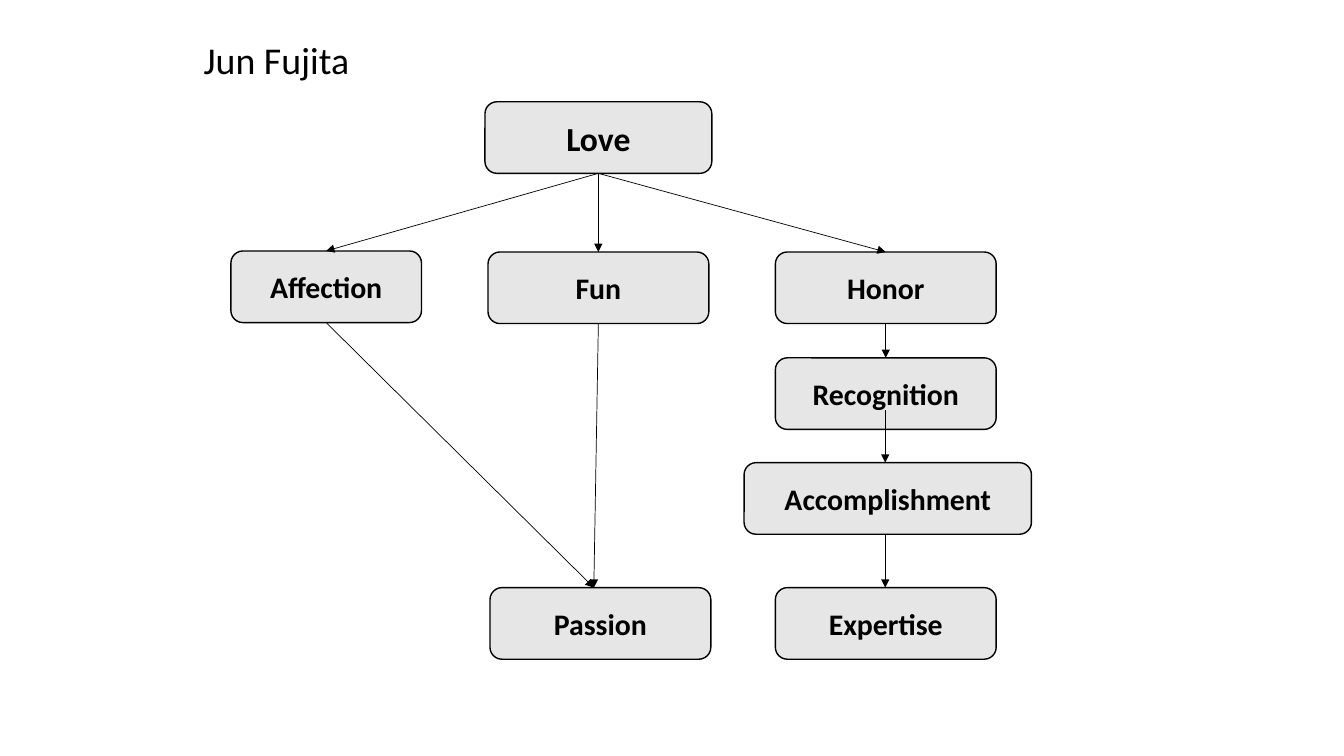
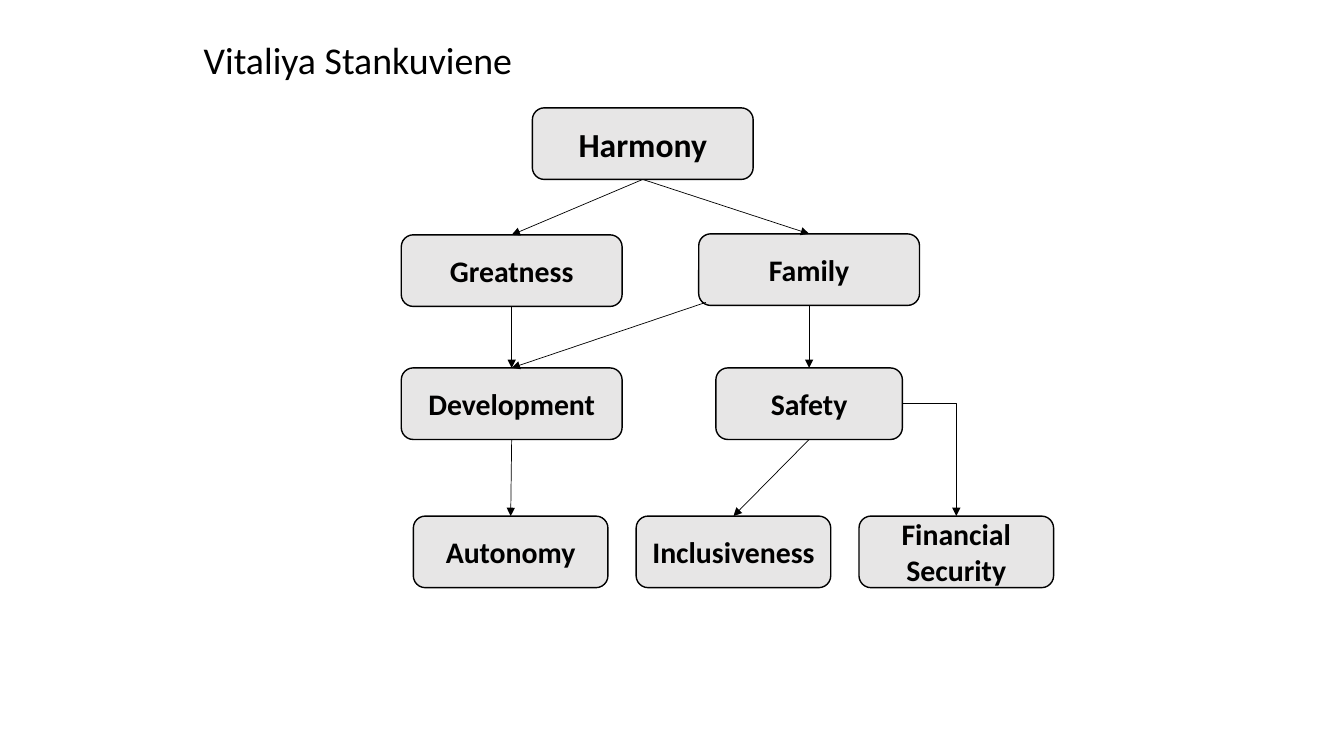
import lxml.etree
import pptx
import pptx.dml.color
import pptx.enum.shapes
import pptx.enum.text
import pptx.oxml.ns
import pptx.util

Inches, Pt = pptx.util.Inches, pptx.util.Pt
qn = pptx.oxml.ns.qn

FONT = "Calibri"
INK = "000000"
BOX_FILL = "E7E6E6"
BOX_HEIGHT = 0.71
WIDE = 2.19
NARROW = 1.93
ROOT_SIZE, VALUE_SIZE, TITLE_SIZE = 24, 21.3, 27
TOP, BOTTOM, RIGHT = 0, 2, 3  # connection sites of a rounded rectangle

# Each value is (label, left, top, width); the first one is the root.
# An arrow end is a label, or a point where the arrow misses the box's centre.
PASSION_ENTRY = (5.89, 5.83)
HONOR_AXIS = 8.78
JUN_VALUES = [
    ("Love", 4.81, 1.01, 2.25),
    ("Affection", 2.29, 2.49, 1.89),
    ("Fun", 4.84, 2.5, WIDE),
    ("Honor", 7.69, 2.5, WIDE),
    ("Recognition", 7.69, 3.55, WIDE),
    ("Accomplishment", 7.38, 4.59, 2.85),
    ("Passion", 4.86, 5.83, WIDE),
    ("Expertise", 7.69, 5.83, WIDE),
]
JUN_ARROWS = [
    ("Love", "Affection"),
    ("Love", "Fun"),
    ("Love", "Honor"),
    ("Fun", PASSION_ENTRY),
    ("Affection", PASSION_ENTRY),
    ("Honor", "Recognition"),
    ((HONOR_AXIS, 4.07), (HONOR_AXIS, 4.59)),
    ((HONOR_AXIS, 5.3), (HONOR_AXIS, 5.83)),
]

VITALIYA_VALUES = [
    ("Harmony", 5.28, 1.07, WIDE),
    ("Greatness", 3.98, 2.33, WIDE),
    ("Family", 6.93, 2.32, WIDE),
    ("Development", 3.98, 3.65, WIDE),
    ("Safety", 7.1, 3.65, 1.85),
] + [
    (label, 4.1 + 2.21 * column, 5.12, NARROW)
    for column, label in enumerate(["Autonomy", "Inclusiveness", "Financial Security"])
]
VITALIYA_ARROWS = [
    ("Harmony", "Greatness"),
    ("Harmony", "Family"),
    ("Greatness", "Development"),
    ((7, 3), "Development"),
    ("Family", "Safety"),
    ("Development", "Autonomy"),
    ("Safety", "Inclusiveness"),
]
VITALIYA_ELBOWS = [("Safety", "Financial Security")]


def rgb(value):
    return pptx.dml.color.RGBColor.from_string(value)


def format_text(paragraph, size, bold, alignment):
    paragraph.alignment = alignment
    for run in paragraph.runs:
        run.font.name = FONT
        run.font.size = Pt(size)
        run.font.bold = bold
        run.font.color.rgb = rgb(INK)


def add_title(slide, person):
    title = slide.shapes.title
    title.left, title.top = Inches(1.92), Inches(0.32)
    title.width, title.height = Inches(7.86), Inches(0.53)
    frame = title.text_frame
    frame.text = person
    frame.auto_size = pptx.enum.text.MSO_AUTO_SIZE.NONE
    frame.vertical_anchor = pptx.enum.text.MSO_ANCHOR.MIDDLE
    format_text(frame.paragraphs[0], TITLE_SIZE, False, pptx.enum.text.PP_ALIGN.LEFT)


def add_value_box(slide, label, left, top, width, size):
    box = slide.shapes.add_shape(
        pptx.enum.shapes.MSO_SHAPE.ROUNDED_RECTANGLE,
        Inches(left), Inches(top), Inches(width), Inches(BOX_HEIGHT),
    )
    box.shadow.inherit = False
    box.fill.solid()
    box.fill.fore_color.rgb = rgb(BOX_FILL)
    box.line.color.rgb = rgb(INK)
    box.line.width = Pt(1)
    box.text_frame.text = label
    format_text(box.text_frame.paragraphs[0], size, True, pptx.enum.text.PP_ALIGN.CENTER)
    return box


def add_arrow(slide, boxes, start, end, elbow=False):
    """Link two ends; a label is glued to its box, a point stays free."""
    kinds = pptx.enum.shapes.MSO_CONNECTOR
    points = [(0, 0) if isinstance(spot, str) else spot for spot in (start, end)]
    arrow = slide.shapes.add_connector(
        kinds.ELBOW if elbow else kinds.STRAIGHT,
        *[Inches(length) for point in points for length in point],
    )
    if isinstance(start, str):
        arrow.begin_connect(boxes[start], RIGHT if elbow else BOTTOM)
    if isinstance(end, str):
        arrow.end_connect(boxes[end], TOP)
    arrow.line.color.rgb = rgb(INK)
    arrow.line.width = Pt(0.5)
    properties = arrow.element.spPr
    if elbow:
        properties.find(qn("a:prstGeom")).set("prst", "bentConnector2")
    lxml.etree.SubElement(properties.find(qn("a:ln")), qn("a:tailEnd"), type="triangle")
    lxml.etree.SubElement(properties, qn("a:effectLst"))


def add_value_tree(deck, person, values, arrows, elbows=()):
    slide = deck.slides.add_slide(deck.slide_layouts.get_by_name("Title Only"))
    add_title(slide, person)
    boxes = {}
    for rank, (label, left, top, width) in enumerate(values):
        size = VALUE_SIZE if rank else ROOT_SIZE
        boxes[label] = add_value_box(slide, label, left, top, width, size)
    for start, end in arrows:
        add_arrow(slide, boxes, start, end)
    for start, end in elbows:
        add_arrow(slide, boxes, start, end, elbow=True)


def main():
    deck = pptx.Presentation()
    deck.slide_width, deck.slide_height = Inches(13.33), Inches(7.5)
    add_value_tree(deck, "Jun Fujita", JUN_VALUES, JUN_ARROWS)
    add_value_tree(
        deck, "Vitaliya Stankuviene", VITALIYA_VALUES, VITALIYA_ARROWS, VITALIYA_ELBOWS
    )
    deck.save("out.pptx")


if __name__ == "__main__":
    main()
